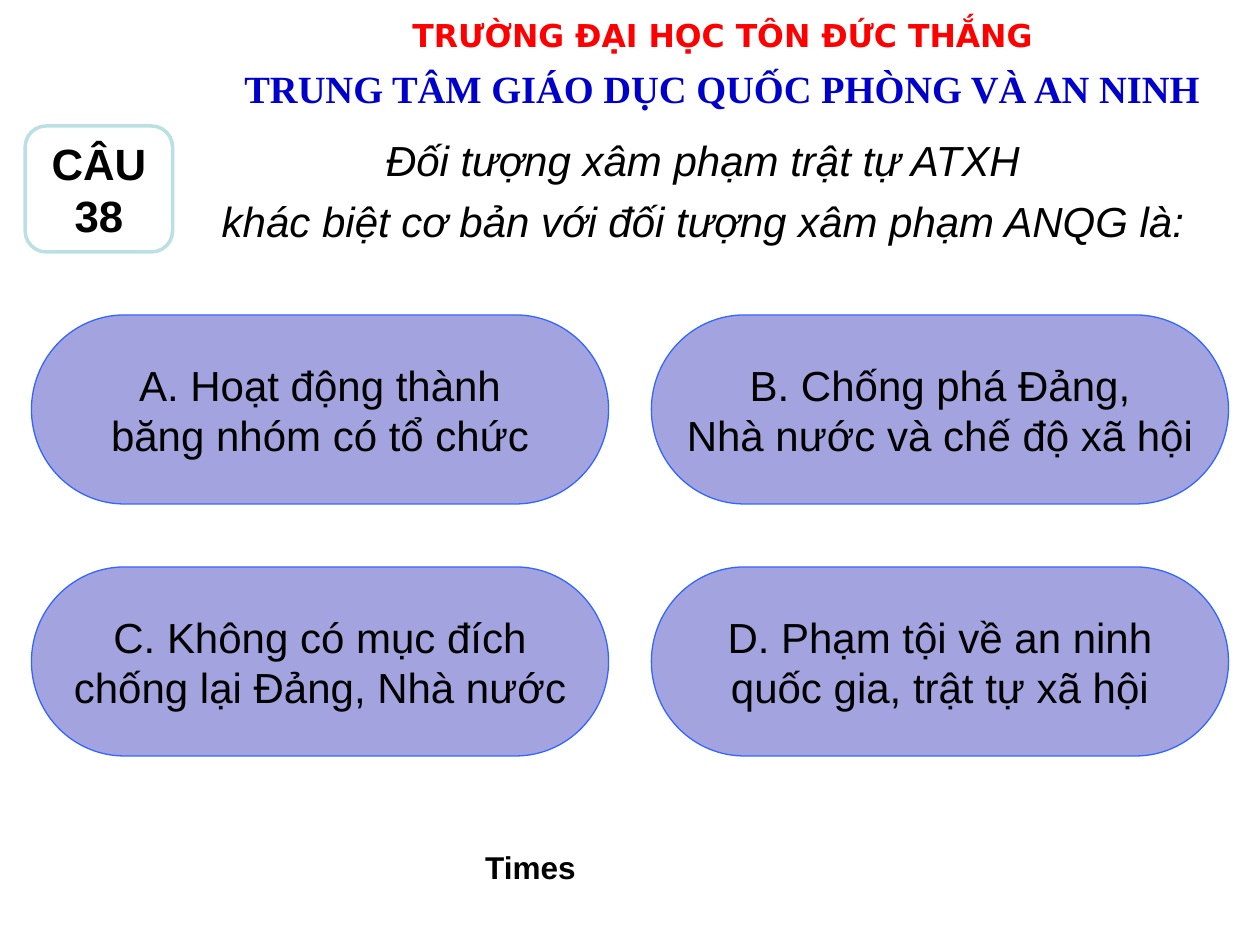
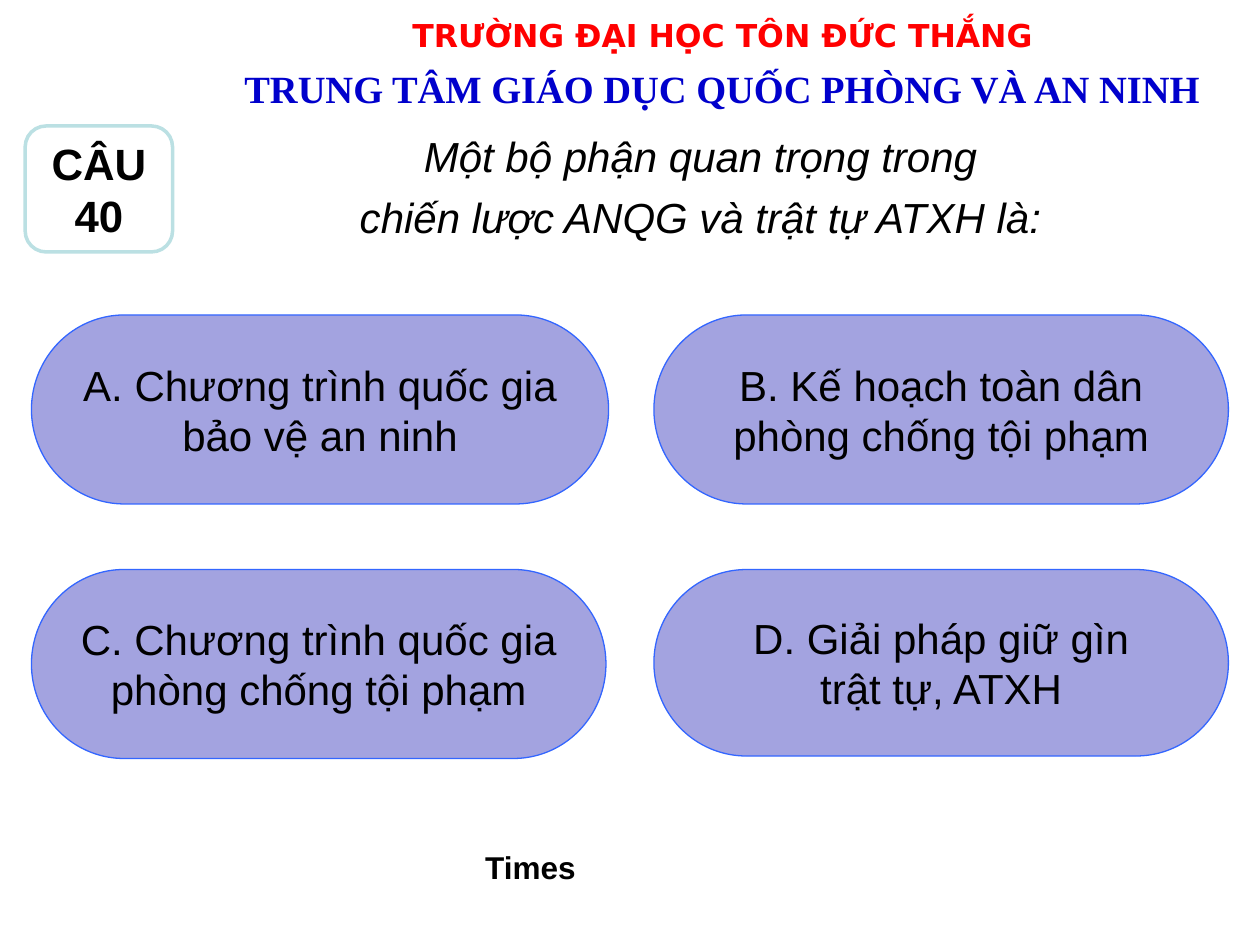
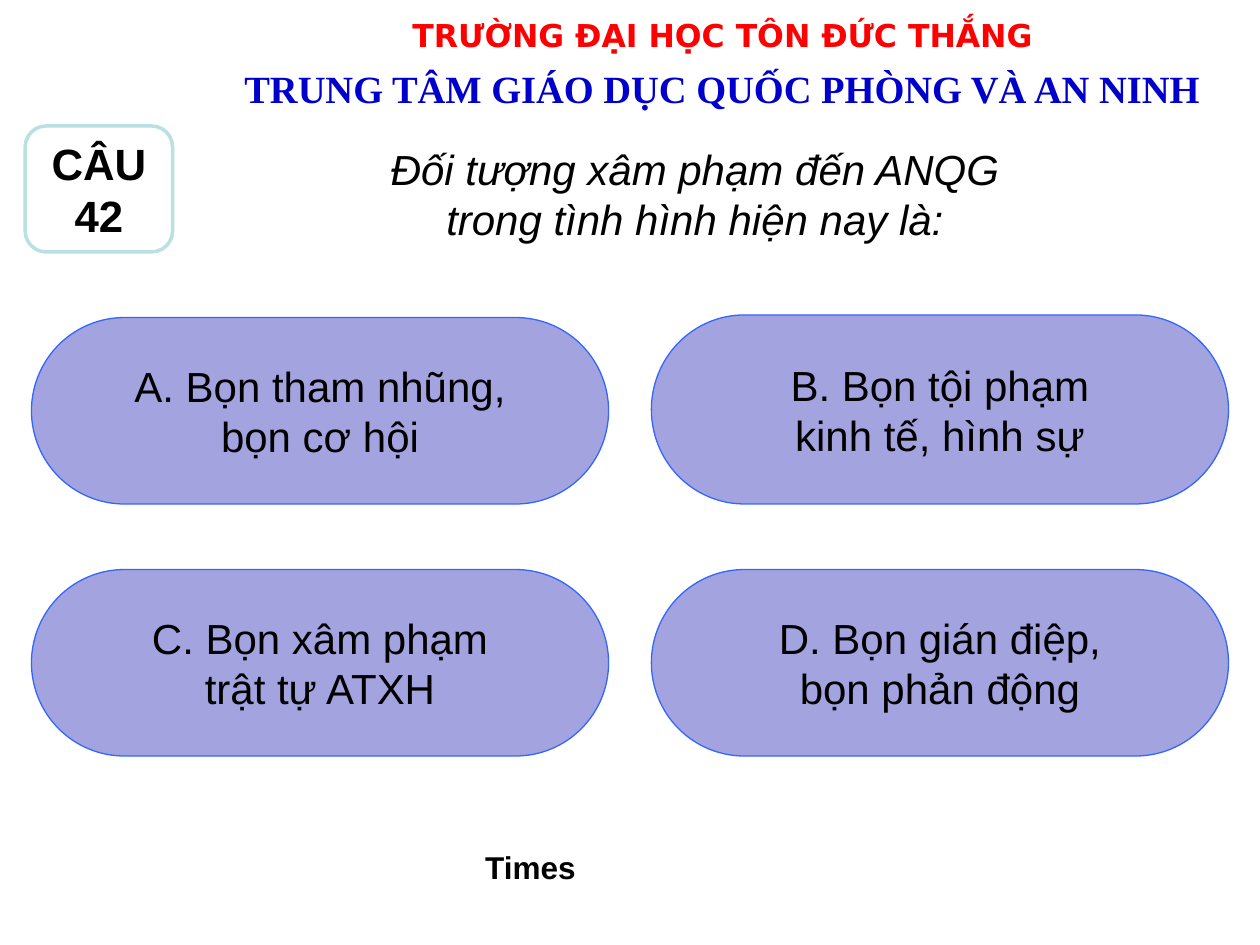
from dataclasses import dataclass

from lxml.etree import SubElement
from pptx import Presentation
from pptx.dml.color import RGBColor
from pptx.enum.shapes import MSO_SHAPE
from pptx.enum.text import MSO_ANCHOR, PP_ALIGN
from pptx.oxml.ns import qn
from pptx.shapes.autoshape import Shape
from pptx.slide import Slide
from pptx.util import Inches, Pt

COLORS = {
    "school": "FF0000",
    "center": "0000CC",
    "text": "000000",
    "answer_fill": "A3A3E0",
    "answer_line": "3366FF",
    "badge_fill": "FFFFFF",
    "badge_line": "BBE0E3",
}
ANSWERS_LEFT = 0.25
ANSWERS_RIGHT = 9.75
ROW_TOPS = (2.5, 4.5)


@dataclass(frozen=True)
class Area:
    left: float
    top: float
    width: float
    height: float


@dataclass(frozen=True)
class Style:
    size: float
    font: str = "Arial"
    color: str = "text"
    bold: bool = False
    italic: bool = False
    gap: float = 0


@dataclass(frozen=True)
class Label:
    area: Area
    text: str
    style: Style
    wrap: bool = True
    outlined: bool = False


@dataclass(frozen=True)
class Answer:
    text: str
    width: float = 4.58
    drop: float = 0
    height: float = 1.5


@dataclass(frozen=True)
class Question:
    number: int
    area: Area
    text: str
    gap: float
    answers: tuple[Answer, ...]


ANSWER_STYLE = Style(24)
BADGE_STYLE = Style(25, bold=True)
BADGE_AREA = Area(0.2, 1, 1.17, 1)
SHARED_LABELS = (
    Label(Area(2.03, 0.08, 7.41, 0.34), "TRƯỜNG ĐẠI HỌC TÔN ĐỨC THẮNG",
          Style(18, "DejaVu Sans", "school", bold=True), wrap=False, outlined=True),
    Label(Area(1.73, 0.47, 8, 0.32), "TRUNG TÂM GIÁO DỤC QUỐC PHÒNG VÀ AN NINH",
          Style(22, "Times New Roman", "center", bold=True), wrap=False),
    Label(Area(3.67, 6.68, 1.08, 0.4), "Times", Style(18, bold=True)),
)

QUESTIONS = (
    Question(
        38, Area(1.58, 1.02, 8, 0.99),
        "Đối tượng xâm phạm trật tự ATXH\n"
        "khác biệt cơ bản với đối tượng xâm phạm ANQG là:", 6,
        (
            Answer("A. Hoạt động thành\nbăng nhóm có tổ chức"),
            Answer("B. Chống phá Đảng,\nNhà nước và chế độ xã hội"),
            Answer("C. Không có mục đích\nchống lại Đảng, Nhà nước"),
            Answer("D. Phạm tội về an ninh\nquốc gia, trật tự xã hội"),
        ),
    ),
    Question(
        40, Area(2.19, 0.99, 6.74, 0.99),
        "Một bộ phận quan trọng trong\nchiến lược ANQG và trật tự ATXH là:", 6,
        (
            Answer("A. Chương trình quốc gia\nbảo vệ an ninh"),
            Answer("B. Kế hoạch toàn dân\nphòng chống tội phạm", width=4.56),
            Answer("C. Chương trình quốc gia\nphòng chống tội phạm", width=4.56, drop=0.02),
            Answer("D. Giải pháp giữ gìn\ntrật tự, ATXH", width=4.56, drop=0.02, height=1.48),
        ),
    ),
    Question(
        42, Area(1.94, 1.09, 7.15, 0.9),
        "Đối tượng xâm phạm đến ANQG\ntrong tình hình hiện nay là:", 0,
        (
            Answer("A. Bọn tham nhũng,\nbọn cơ hội", drop=0.02, height=1.48),
            Answer("B. Bọn tội phạm\nkinh tế, hình sự"),
            Answer("C. Bọn xâm phạm\ntrật tự ATXH", drop=0.02, height=1.48),
            Answer("D. Bọn gián điệp,\nbọn phản động", drop=0.02, height=1.48),
        ),
    ),
)


def color(name: str) -> RGBColor:
    return RGBColor.from_string(COLORS[name])


def bounds(area: Area) -> tuple[Inches, ...]:
    return tuple(Inches(value) for value in (area.left, area.top, area.width, area.height))


def write(box: Shape, text: str, style: Style, wrap: bool = False) -> None:
    frame = box.text_frame
    frame.word_wrap = wrap
    frame.text = text
    for index, paragraph in enumerate(frame.paragraphs):
        paragraph.alignment = PP_ALIGN.CENTER
        paragraph.space_before = Pt(style.gap if index else 0)
        font = paragraph.font
        font.name = style.font
        font.size = Pt(style.size)
        font.bold = style.bold
        font.italic = style.italic
        font.color.rgb = color(style.color)


def outline_text(box: Shape, name: str) -> None:
    for span in box.text_frame.paragraphs[0].runs:
        line = SubElement(span._r.get_or_add_rPr(), qn("a:ln"), w=str(Pt(0.25)))
        fill = SubElement(line, qn("a:solidFill"))
        SubElement(fill, qn("a:srgbClr"), val=COLORS[name])


def add_label(page: Slide, label: Label) -> None:
    box = page.shapes.add_textbox(*bounds(label.area))
    write(box, label.text, label.style, label.wrap)
    if label.outlined:
        outline_text(box, label.style.color)


def add_panel(page: Slide, kind: MSO_SHAPE, area: Area, role: str, line_width: float,
              text: str, style: Style) -> None:
    panel = page.shapes.add_shape(kind, *bounds(area))
    panel.shadow.inherit = False
    panel.fill.solid()
    panel.fill.fore_color.rgb = color(f"{role}_fill")
    panel.line.color.rgb = color(f"{role}_line")
    panel.line.width = Pt(line_width)
    panel.text_frame.vertical_anchor = MSO_ANCHOR.MIDDLE
    write(panel, text, style)


def add_answer(page: Slide, index: int, answer: Answer) -> None:
    row, column = divmod(index, 2)
    left = ANSWERS_RIGHT - answer.width if column else ANSWERS_LEFT
    area = Area(left, ROW_TOPS[row] + answer.drop, answer.width, answer.height)
    add_panel(page, MSO_SHAPE.FLOWCHART_TERMINATOR, area, "answer", 0.75,
              answer.text, ANSWER_STYLE)


def add_question(page: Slide, question: Question) -> None:
    for label in SHARED_LABELS:
        add_label(page, label)
    add_label(page, Label(question.area, question.text,
                          Style(24, italic=True, gap=question.gap)))
    for index, answer in enumerate(question.answers):
        add_answer(page, index, answer)
    add_panel(page, MSO_SHAPE.ROUNDED_RECTANGLE, BADGE_AREA, "badge", 2,
              f"CÂU\n{question.number}", BADGE_STYLE)


def main() -> None:
    deck = Presentation()
    deck.slide_width = Inches(10)
    deck.slide_height = Inches(7.5)
    for question in QUESTIONS:
        add_question(deck.slides.add_slide(deck.slide_layouts[6]), question)
    deck.save("out.pptx")


if __name__ == "__main__":
    main()
